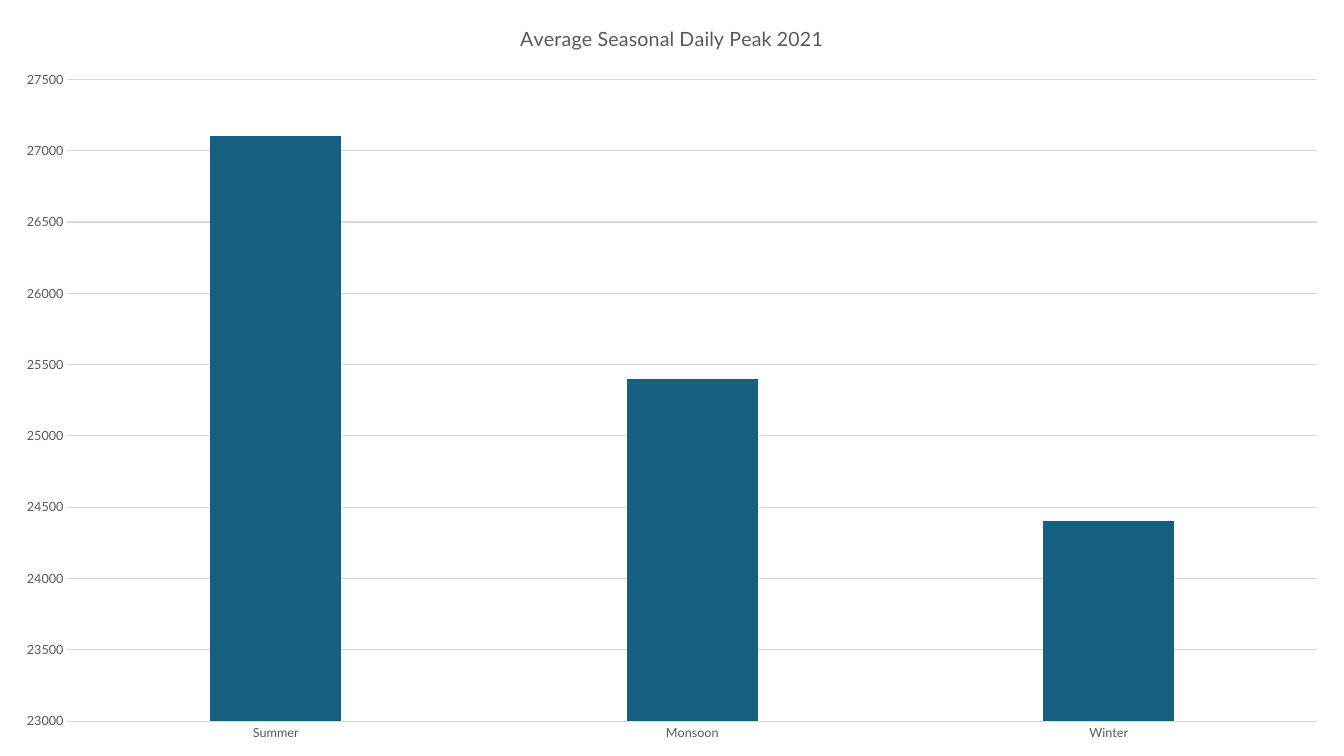
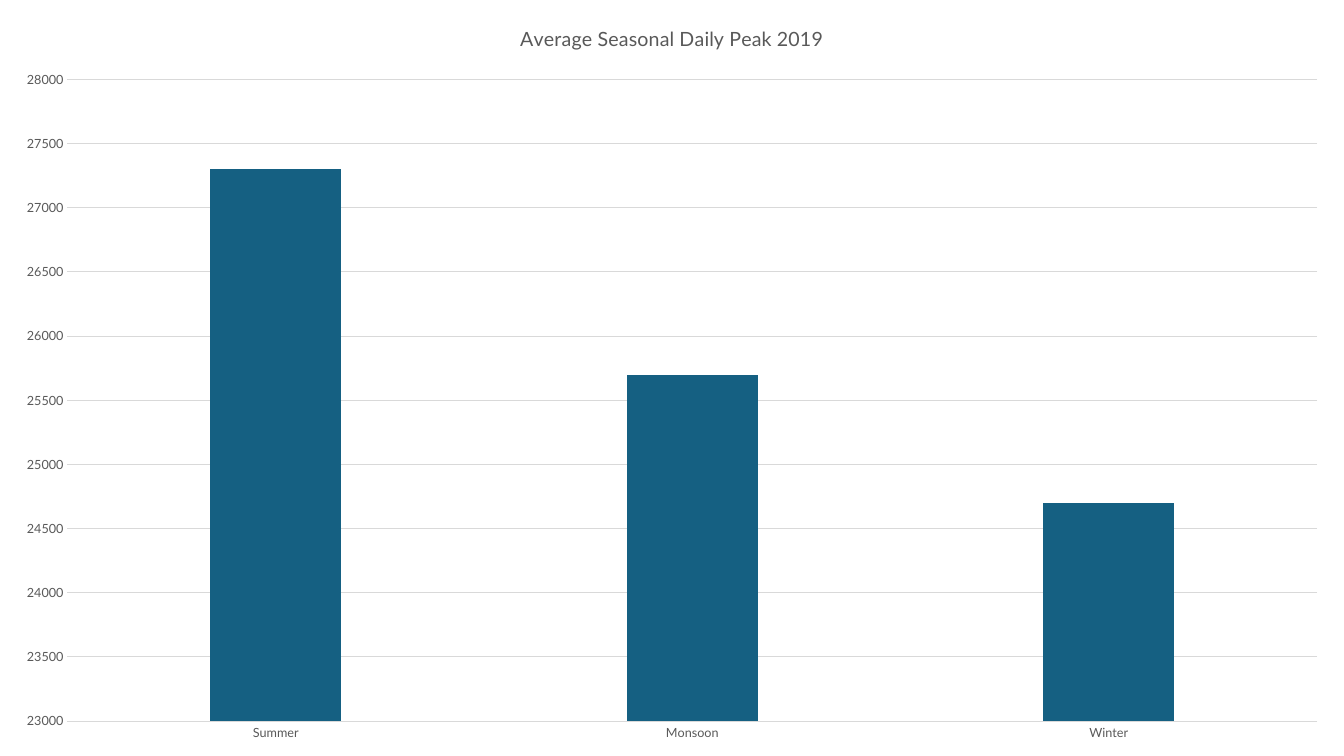
from pptx import Presentation
from pptx.chart.data import CategoryChartData
from pptx.dml.color import RGBColor
from pptx.enum.chart import XL_CHART_TYPE, XL_TICK_MARK
from pptx.util import Cm, Pt

COLUMNS = XL_CHART_TYPE.COLUMN_CLUSTERED
NO_TICK = XL_TICK_MARK.NONE

PAGE_WIDTH, PAGE_HEIGHT = Cm(33.87), Cm(19.05)
BLANK_LAYOUT = 6

BAR_COLOR = "156082"
GRID_COLOR = "D9D9D9"
TEXT_COLOR = "595959"

CHART_FONT = {"name": "Lato", "size": Pt(10), "bold": False}
TITLE_FONT = {"name": "Lato", "size": Pt(14), "bold": False}
AXIS_FONT = {"name": "Lato", "size": Pt(9), "bold": False}

SEASONS = ("Summer", "Monsoon", "Winter")
AXIS_MINIMUM = 23000
AXIS_STEP = 500

# Year, axis maximum, daily peak for each season
PEAKS = (
    (2021, 27500, (27100, 25400, 24400)),
    (2019, 28000, (27300, 25700, 24700)),
)


def rgb(hex_color):
    return RGBColor.from_string(hex_color)


def set_attributes(target, values):
    for name, value in values.items():
        setattr(target, name, value)


def format_font(font, values, color):
    set_attributes(font, values)
    font.color.rgb = rgb(color)


def format_line(line, color):
    line.color.rgb = rgb(color)
    line.width = Pt(0.75)


def format_title(chart, text):
    chart.has_title = True
    frame = chart.chart_title.text_frame
    frame.text = text
    para = frame.paragraphs[0]
    for font in (para.font, para.runs[0].font):
        format_font(font, TITLE_FONT, TEXT_COLOR)
    chart.chart_title.include_in_layout = False


def format_axes(chart, maximum):
    category_axis, value_axis = chart.category_axis, chart.value_axis
    for axis in (category_axis, value_axis):
        set_attributes(axis, {"major_tick_mark": NO_TICK, "minor_tick_mark": NO_TICK})
        format_font(axis.tick_labels.font, AXIS_FONT, TEXT_COLOR)
    format_line(category_axis.format.line, GRID_COLOR)

    set_attributes(value_axis, {
        "minimum_scale": AXIS_MINIMUM,
        "maximum_scale": maximum,
        "major_unit": AXIS_STEP,
        "has_major_gridlines": True,
    })
    value_axis.format.line.fill.background()
    format_line(value_axis.major_gridlines.format.line, GRID_COLOR)


def format_bars(chart):
    plot = chart.plots[0]
    set_attributes(plot, {"gap_width": 219, "overlap": -27, "vary_by_categories": False})
    fill = plot.series[0].format.fill
    fill.solid()
    fill.fore_color.rgb = rgb(BAR_COLOR)


def add_peak_slide(deck, year, maximum, peaks):
    """Add a slide filled by the column chart of one year."""
    page = deck.slides.add_slide(deck.slide_layouts[BLANK_LAYOUT])
    data = CategoryChartData()
    data.categories = SEASONS
    data.add_series("Series 1", peaks)
    chart = page.shapes.add_chart(
        COLUMNS, Cm(0), Cm(0), PAGE_WIDTH, PAGE_HEIGHT, data
    ).chart
    chart.has_legend = False
    format_font(chart.font, CHART_FONT, "000000")
    format_title(chart, f"Average Seasonal Daily Peak {year}")
    format_axes(chart, maximum)
    format_bars(chart)


def main():
    deck = Presentation()
    set_attributes(deck, {"slide_width": PAGE_WIDTH, "slide_height": PAGE_HEIGHT})
    for year, maximum, peaks in PEAKS:
        add_peak_slide(deck, year, maximum, peaks)
    deck.save("out.pptx")


if __name__ == "__main__":
    main()
